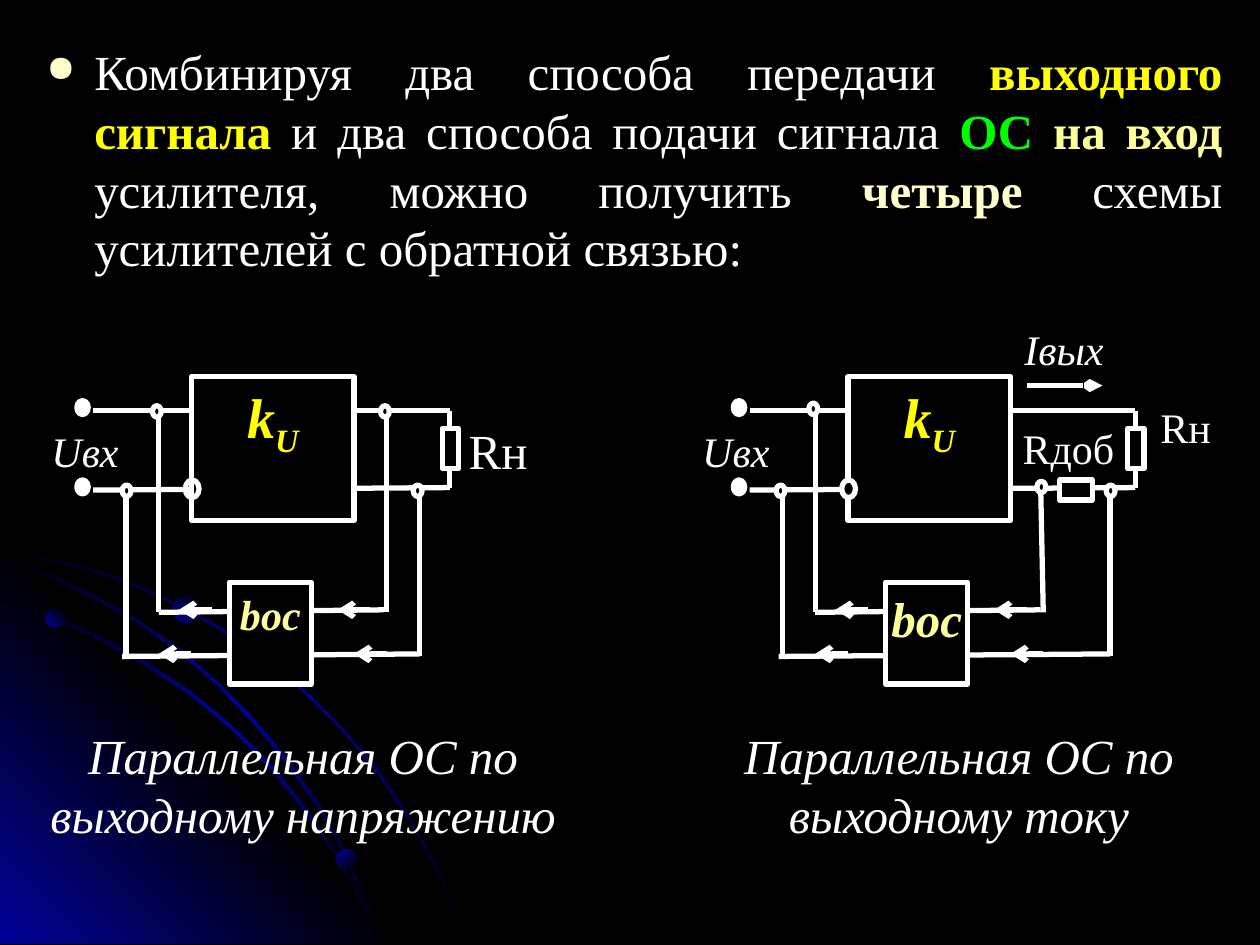
from copy import deepcopy
from dataclasses import dataclass

from lxml import etree
from pptx import Presentation
from pptx.dml.color import RGBColor
from pptx.enum.shapes import MSO_CONNECTOR, MSO_SHAPE
from pptx.enum.text import MSO_ANCHOR, PP_ALIGN
from pptx.oxml.ns import qn
from pptx.util import Pt

PX = 9144  # EMU per px, 100 px to the inch
RECT, OVAL = MSO_SHAPE.RECTANGLE, MSO_SHAPE.OVAL
STRAIGHT = MSO_CONNECTOR.STRAIGHT
LEFT, CENTER, JUSTIFY = PP_ALIGN.LEFT, PP_ALIGN.CENTER, PP_ALIGN.JUSTIFY
TOP = MSO_ANCHOR.TOP


@dataclass(frozen=True)
class Theme:
    font: str = "Times New Roman"
    black: str = "000000"
    white: str = "FFFFFF"
    blue: str = "010199"
    yellow: str = "FFFF00"
    green: str = "00FF00"
    pale: str = "FFFF99"
    cream: str = "FFFFCC"
    body: int = 28
    small: int = 24
    gain: int = 32
    line: int = 3


THEME = Theme()


@dataclass(frozen=True)
class Span:
    text: str
    size: int = THEME.body
    color: str = THEME.white
    bold: bool = False
    italic: bool = False
    subscript: bool = False


@dataclass(frozen=True)
class Label:
    frame: tuple[int, int, int, int]
    spans: tuple[Span, ...]
    align: PP_ALIGN = CENTER
    fill: str | None = None


@dataclass(frozen=True)
class Circuit:
    """All x values are counted from the circuit's own left offset."""
    left: int
    load_x: int
    inner_tap: tuple[int, int, int, int]
    outer_x: int
    nodes: tuple[tuple[int, int], ...]
    feedback_size: int
    inverter_fill: str | None
    labels: tuple[Label, ...]
    series_resistor: tuple[int, int, int, int] | None = None
    current_arrow: tuple[int, int, int, int] | None = None


INTRO = (
    Span("Комбинируя два способа передачи "),
    Span("выходного сигнала", color=THEME.yellow, bold=True),
    Span(" и два способа подачи сигнала "),
    Span("ОС ", color=THEME.green, bold=True),
    Span("на вход", color=THEME.pale, bold=True),
    Span(" усилителя, можно получить "),
    Span("четыре", color=THEME.cream, bold=True),
    Span(" схемы усилителей с обратной связью:"),
)
GAIN = (Span("k", THEME.gain, THEME.yellow, True, True),
        Span("U", THEME.gain, THEME.yellow, True, True, True))
INPUT = (Span("Uвх", THEME.small, italic=True),)

CIRCUITS = (
    Circuit(0, 357, (307, 326, 307, 486), 333,
            ((328, 385), (302, 322), (97, 385), (121, 322)), THEME.small, None,
            (Label((35, 576, 411, 103),
                   (Span("Параллельная ОС по выходному напряжению", italic=True),)),
             Label((372, 334, 52, 39), (Span("Rн"),), LEFT, THEME.black),
             Label((35, 338, 65, 39), INPUT))),
    Circuit(521, 380, (305, 389, 307, 486), 360,
            ((121, 320), (95, 385), (302, 382), (357, 385)), THEME.body, THEME.black,
            (Label((28, 576, 424, 103),
                   (Span("Параллельная ОС по выходному току", italic=True),)),
             Label((400, 319, 52, 39), (Span("Rн", THEME.small),), LEFT),
             Label((26, 338, 74, 39), INPUT),
             Label((292, 257, 80, 39), (Span("Iвых", THEME.small, italic=True),),
                   LEFT, THEME.black),
             Label((284, 335, 86, 41), (Span("Rдоб", THEME.small),))),
            (320, 381, 26, 16), (294, 306, 354, 306)),
)

ARCS = (
    ((57, 447), (28, 441), (0, 435), (0, 438), (28, 443), (56, 449), (97, 461),
     (135, 478), (173, 499), (208, 523), (241, 549), (271, 579), (298, 612),
     (323, 649), (337, 673), (350, 698), (360, 723), (370, 749), (372, 749),
     (362, 723), (352, 698), (339, 673), (325, 648), (300, 611), (272, 578),
     (242, 548), (209, 521), (174, 497), (136, 477), (98, 459)),
    ((285, 714), (294, 732), (301, 749), (303, 749), (296, 730), (286, 712),
     (266, 676), (242, 640), (215, 606), (184, 576), (152, 549), (117, 526),
     (79, 505), (41, 488), (0, 475), (0, 477), (39, 490), (77, 507), (115, 528),
     (150, 551), (183, 578), (213, 608), (240, 642), (265, 677)),
    ((0, 442), (0, 444), (36, 457), (74, 475), (109, 494), (142, 518), (173, 544),
     (202, 575), (227, 605), (252, 641), (267, 667), (280, 694), (292, 722),
     (301, 749), (303, 749), (294, 720), (282, 693), (269, 665), (254, 639),
     (229, 603), (204, 573), (175, 543), (144, 516), (111, 493), (76, 473), (39, 455)),
)
CORNER = ((322, 749), (0, 749), (0, 427))
BEADS = (((36, 483, 15, 15), 135), ((267, 674, 16, 16), 225), ((137, 473, 21, 21), 135))


def rgb(color: str) -> RGBColor:
    return RGBColor.from_string(color)


def emu(frame: tuple[int, ...]) -> list[int]:
    return [value * PX for value in frame]


def shade(shape, colors: tuple[str, ...], angle: int) -> None:
    """Fill with evenly spaced gradient stops; angle runs clockwise."""
    shape.shadow.inherit = False
    shape.line.fill.background()
    shape.fill.gradient()
    shape.fill.gradient_angle = 360 - angle
    stops = shape._element.spPr.find(".//" + qn("a:gsLst"))
    while len(stops) < len(colors):
        stops.append(deepcopy(stops[0]))
    for index, (stop, color) in enumerate(zip(shape.fill.gradient_stops, colors)):
        stop.position = index / (len(colors) - 1)
        stop.color.rgb = rgb(color)


def draw_outline(page, points, colors: tuple[str, ...], angle: int) -> None:
    builder = page.shapes.build_freeform(*points[0], scale=PX)
    builder.add_line_segments(points[1:], close=True)
    shade(builder.convert_to_shape(), colors, angle)


def draw_backdrop(page) -> None:
    page.background.fill.solid()
    page.background.fill.fore_color.rgb = rgb(THEME.black)
    glow = (THEME.black, THEME.blue, THEME.black)
    draw_outline(page, ARCS[0], glow, 225)
    draw_outline(page, CORNER, (THEME.blue, THEME.black, THEME.blue), 135)
    for arc in ARCS[1:]:
        draw_outline(page, arc, glow, 225)
    for frame, angle in BEADS:
        shade(page.shapes.add_shape(OVAL, *emu(frame)), (THEME.black, THEME.blue), angle)


def write(shape, spans: tuple[Span, ...], align: PP_ALIGN, inset_x: int = 0, inset_y: int = 0):
    box = shape.text_frame
    formats = {"word_wrap": True, "vertical_anchor": TOP,
               "margin_left": inset_x * PX, "margin_right": inset_x * PX,
               "margin_top": inset_y * PX, "margin_bottom": inset_y * PX}
    for name, value in formats.items():
        setattr(box, name, value)
    para = box.paragraphs[0]
    para.alignment = align
    for span in spans:
        run = para.add_run()
        run.text = span.text
        formats = {"name": THEME.font, "size": Pt(span.size),
                   "bold": span.bold, "italic": span.italic}
        for name, value in formats.items():
            setattr(run.font, name, value)
        run.font.color.rgb = rgb(span.color)
        if span.subscript:
            run.font._element.set("baseline", "-25000")
    return para


def draw_intro(page) -> None:
    box = page.shapes.add_textbox(*emu((27, 28, 953, 252)))
    props = write(box, INTRO, JUSTIFY, 10, 5)._p.get_or_add_pPr()
    props.set("marL", str(38 * PX))
    props.set("indent", str(-38 * PX))
    color = etree.SubElement(props, qn("a:buClr"))
    etree.SubElement(color, qn("a:srgbClr"), val=THEME.cream)
    etree.SubElement(props, qn("a:buSzPct"), val="75000")
    etree.SubElement(props, qn("a:buChar"), char="●")


def draw_label(page, label: Label, left: int) -> None:
    x, y, width, height = label.frame
    box = page.shapes.add_textbox(*emu((left + x, y, width, height)))
    if label.fill:
        box.fill.solid()
        box.fill.fore_color.rgb = rgb(label.fill)
    write(box, label.spans, label.align)


def draw_part(page, kind, left: int, frame, fill: str | None = THEME.black):
    x, y, width, height = frame
    shape = page.shapes.add_shape(kind, *emu((left + x, y, width, height)))
    shape.shadow.inherit = False
    if fill:
        shape.fill.solid()
        shape.fill.fore_color.rgb = rgb(fill)
    else:
        shape.fill.background()
    shape.line.color.rgb = rgb(THEME.white)
    shape.line.width = Pt(THEME.line)
    return shape


def draw_wire(page, left: int, ends, head: str | None = None) -> None:
    """Draw a line; head is the arrowhead's width code."""
    x1, y1, x2, y2 = ends
    wire = page.shapes.add_connector(STRAIGHT, *emu((left + x1, y1, left + x2, y2)))
    wire.line.color.rgb = rgb(THEME.white)
    wire.line.width = Pt(THEME.line)
    if head:
        etree.SubElement(wire.line._get_or_add_ln(), qn("a:tailEnd"),
                         type="arrow", w=head, len="med")
    etree.SubElement(wire._element.spPr, qn("a:effectLst"))


def draw_circuit(page, circuit: Circuit) -> None:
    left, load, outer = circuit.left, circuit.load_x, circuit.outer_x
    wires = ((load, 326, load, 387), (74, 389, load, 387), (74, 326, load, 326),
             circuit.inner_tap, (outer, 387, outer, 521), (126, 486, 305, 484),
             (97, 521, outer, 519), (126, 326, 126, 486), (100, 387, 100, 521))
    for ends in wires:
        draw_wire(page, left, ends)
    write(draw_part(page, RECT, left, (152, 299, 129, 114)), GAIN, CENTER, 10, 5)
    draw_part(page, OVAL, left, (147, 381, 11, 14), circuit.inverter_fill)
    draw_part(page, RECT, left, (load - 6, 340, 13, 32))
    feedback = Span("bос", circuit.feedback_size, THEME.pale, True, True)
    write(draw_part(page, RECT, left, (182, 462, 65, 81)), (feedback,), CENTER, 0, 5)
    for y in (318, 381):
        draw_part(page, OVAL, left, (61, y, 9, 11), THEME.white)
    for label in circuit.labels:
        draw_label(page, label, left)
    for x, y in ((307, 519), (152, 519), (294, 484), (168, 484)):
        draw_wire(page, left, (x, y, x - 26, y), "med")
    if circuit.current_arrow:
        draw_wire(page, left, circuit.current_arrow, "sm")
    if circuit.series_resistor:
        draw_part(page, RECT, left, circuit.series_resistor)
    for x, y in circuit.nodes:
        draw_part(page, OVAL, left, (x, y, 7, 9))


def main() -> None:
    deck = Presentation()
    deck.slide_width, deck.slide_height = emu((1000, 750))
    page = deck.slides.add_slide(deck.slide_layouts[6])
    draw_backdrop(page)
    draw_intro(page)
    for circuit in CIRCUITS:
        draw_circuit(page, circuit)
    deck.save("out.pptx")


if __name__ == "__main__":
    main()
